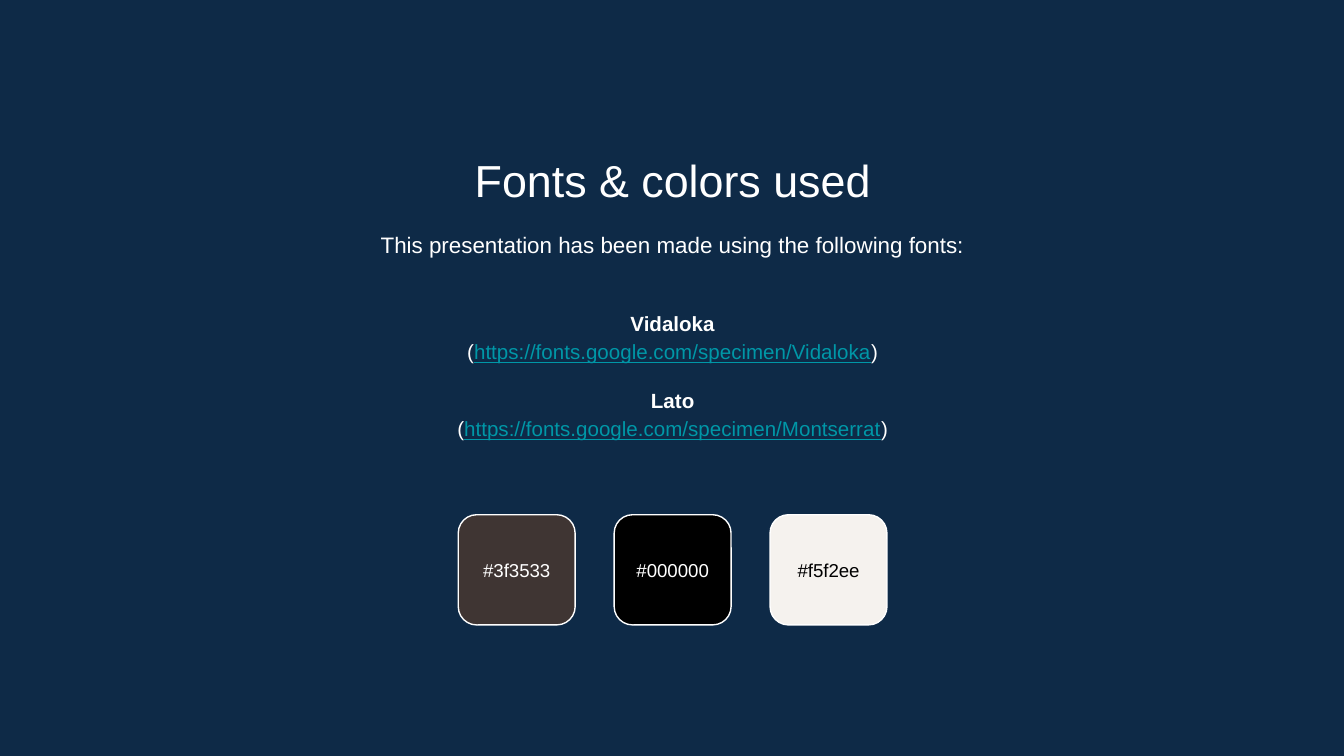
from dataclasses import dataclass

from pptx import Presentation
from pptx.dml.color import RGBColor
from pptx.enum.shapes import MSO_SHAPE
from pptx.enum.text import MSO_ANCHOR, PP_ALIGN
from pptx.util import Inches, Pt

ROUNDED = MSO_SHAPE.ROUNDED_RECTANGLE
TOP, MIDDLE = MSO_ANCHOR.TOP, MSO_ANCHOR.MIDDLE
CENTER = PP_ALIGN.CENTER


@dataclass(frozen=True)
class Theme:
    font: str = "Arial"
    background: str = "0E2A47"
    light: str = "FFFFFF"
    dark: str = "000000"
    link: str = "0097A7"
    title: float = 24
    intro: float = 12
    body: float = 11
    label: float = 10
    spacing: float = 1.15
    gap: float = 11


@dataclass(frozen=True)
class FontEntry:
    name: str
    url: str


@dataclass(frozen=True)
class Swatch:
    code: str
    text_color: str


T = Theme()
TEXT_LEFT, TEXT_WIDTH = 1.15, 7.71
SWATCH_LEFT, SWATCH_TOP, SWATCH_STEP = 3.41, 3.83, 1.16
SWATCH_WIDTH, SWATCH_HEIGHT = 0.87, 0.82
LABEL_TOP, LABEL_HEIGHT = 4, 0.48
FONTS = [
    FontEntry("Vidaloka", "https://fonts.google.com/specimen/Vidaloka"),
    FontEntry("Lato", "https://fonts.google.com/specimen/Montserrat"),
]
SWATCHES = [
    Swatch("#3f3533", T.light),
    Swatch("#000000", T.light),
    Swatch("#f5f2ee", T.dark),
]


def rgb(color: str) -> RGBColor:
    return RGBColor.from_string(color.upper())


def add_text_box(s, left: float, top: float, width: float, height: float, anchor=TOP):
    box = s.shapes.add_textbox(Inches(left), Inches(top), Inches(width), Inches(height))
    tf = box.text_frame
    tf.word_wrap = True
    tf.vertical_anchor = anchor
    tf.margin_left = tf.margin_right = Inches(0.1)
    tf.margin_top = tf.margin_bottom = Inches(0.1)
    return tf


def add_paragraph(tf, first: bool, spacing: float = T.spacing):
    p = tf.paragraphs[0] if first else tf.add_paragraph()
    p.alignment = CENTER
    p.line_spacing = spacing
    return p


def add_run(p, text: str, size: float, color: str = T.light, bold: bool = False, underline: bool = False) -> None:
    r = p.add_run()
    r.text = text
    r.font.name = T.font
    r.font.size = Pt(size)
    r.font.bold = bold
    r.font.underline = underline
    r.font.color.rgb = rgb(color)


def add_font_list(s, entries: list[FontEntry]) -> None:
    tf = add_text_box(s, TEXT_LEFT, 2.1, TEXT_WIDTH, 1.37, MIDDLE)
    for i, entry in enumerate(entries):
        p = add_paragraph(tf, i == 0)
        if i:
            p.space_before = Pt(T.gap)
        add_run(p, entry.name, T.body, bold=True)
        p = add_paragraph(tf, False)
        add_run(p, "(", T.body)
        add_run(p, entry.url, T.body, T.link, underline=True)
        add_run(p, ")", T.body)


def add_swatch(s, swatch: Swatch, left: float) -> None:
    sp = s.shapes.add_shape(
        ROUNDED, Inches(left), Inches(SWATCH_TOP), Inches(SWATCH_WIDTH), Inches(SWATCH_HEIGHT)
    )
    sp.shadow.inherit = False
    sp.fill.solid()
    sp.fill.fore_color.rgb = rgb(swatch.code.lstrip("#"))
    sp.line.color.rgb = rgb(T.light)
    sp.line.width = Pt(0.75)
    tf = add_text_box(s, left, LABEL_TOP, SWATCH_WIDTH, LABEL_HEIGHT, MIDDLE)
    add_run(add_paragraph(tf, True, 1.0), swatch.code, T.label, swatch.text_color)


def main() -> None:
    """Build the slide listing the fonts and colors used."""
    prs = Presentation()
    prs.slide_width = Inches(10)
    prs.slide_height = prs.slide_width * 9 // 16
    s = prs.slides.add_slide(prs.slide_layouts[6])
    s.background.fill.solid()
    s.background.fill.fore_color.rgb = rgb(T.background)

    p = add_paragraph(add_text_box(s, TEXT_LEFT, 1.04, TEXT_WIDTH, 0.53), True, 1.0)
    add_run(p, "Fonts & colors used", T.title)
    p = add_paragraph(add_text_box(s, TEXT_LEFT, 1.59, TEXT_WIDTH, 0.48), True)
    add_run(p, "This presentation has been made using the following fonts:", T.intro)
    add_font_list(s, FONTS)
    for i, swatch in enumerate(SWATCHES):
        add_swatch(s, swatch, SWATCH_LEFT + i * SWATCH_STEP)
    prs.save("out.pptx")


if __name__ == "__main__":
    main()
